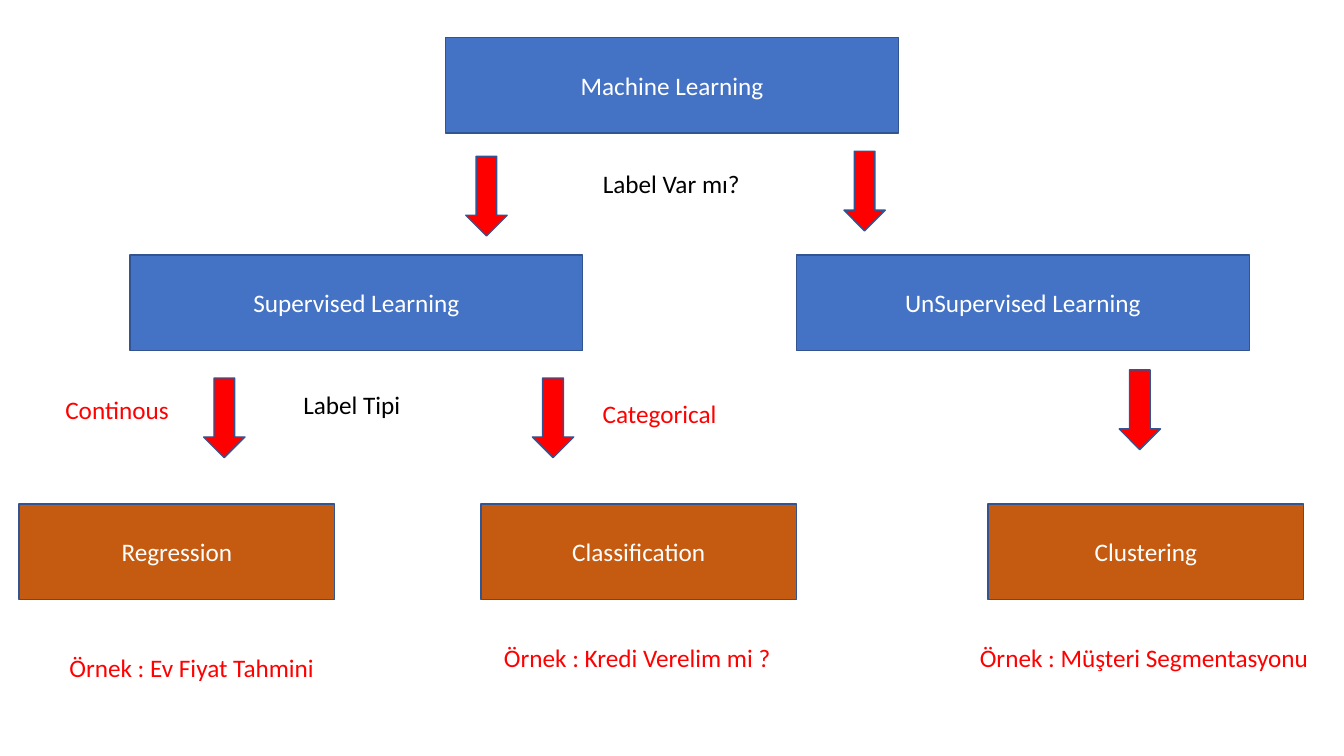
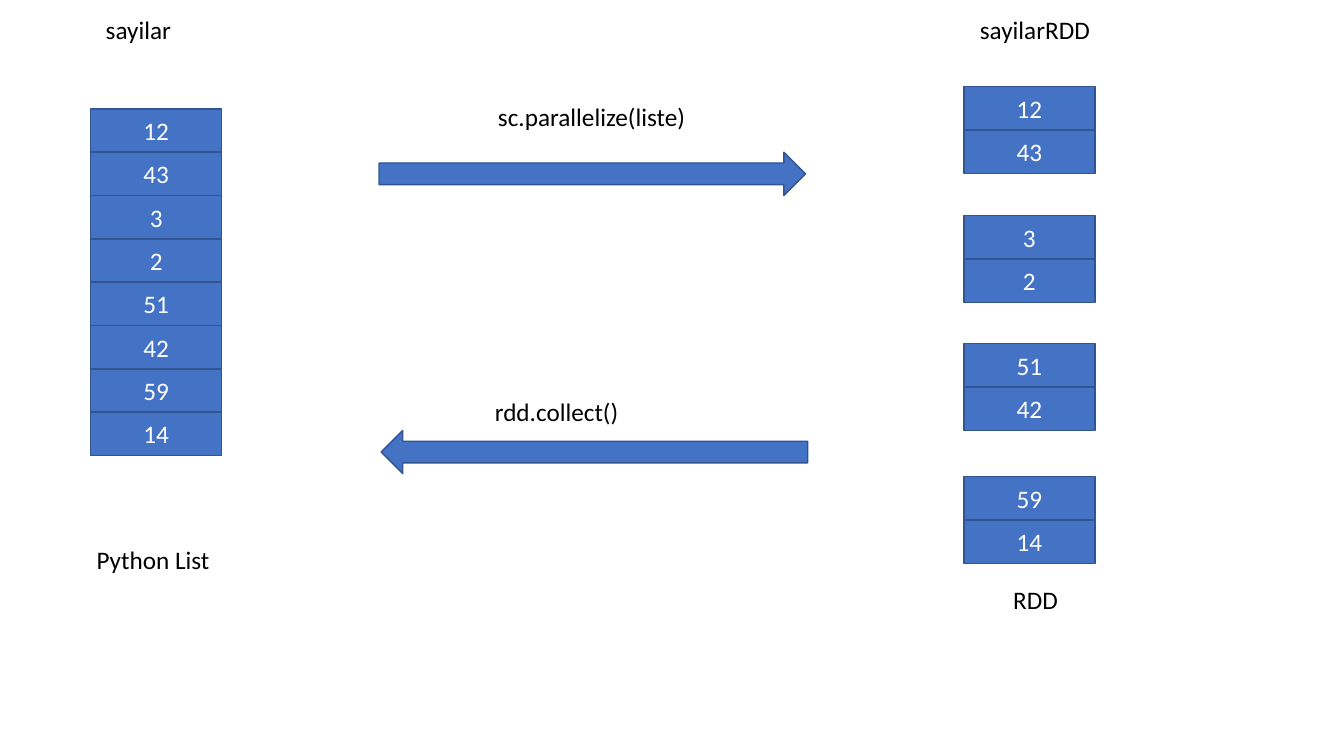
from pptx import Presentation
from pptx.dml.color import RGBColor
from pptx.enum.shapes import MSO_SHAPE
from pptx.enum.text import MSO_ANCHOR, MSO_AUTO_SIZE, PP_ALIGN
from pptx.util import Inches, Pt

BLUE = RGBColor(0x44, 0x72, 0xC4)
OUTLINE = RGBColor(0x32, 0x54, 0x91)
ORANGE = RGBColor(0xC5, 0x5A, 0x11)
RED = RGBColor(0xFF, 0x00, 0x00)
WHITE = RGBColor(0xFF, 0xFF, 0xFF)
BLACK = RGBColor(0x00, 0x00, 0x00)
FONT = "Calibri"
FONT_SIZE = Pt(18)


def add_block(slide, kind, left, top, width, height, fill, text=""):
    """Add an outlined preset shape with centred white text."""
    shape = slide.shapes.add_shape(
        kind, Inches(left), Inches(top), Inches(width), Inches(height))
    shape.shadow.inherit = False
    shape.fill.solid()
    shape.fill.fore_color.rgb = fill
    shape.line.color.rgb = OUTLINE
    shape.line.width = Pt(1)
    if text:
        shape.text_frame.text = text
        shape.text_frame.vertical_anchor = MSO_ANCHOR.MIDDLE
        paragraph = shape.text_frame.paragraphs[0]
        paragraph.alignment = PP_ALIGN.CENTER
        font = paragraph.runs[0].font
        font.name, font.size, font.color.rgb = FONT, FONT_SIZE, WHITE
    return shape


def add_label(slide, left, top, width, text, color=BLACK):
    """Add a one-line text box that fits its text."""
    label = slide.shapes.add_textbox(
        Inches(left), Inches(top), Inches(width), Inches(0.4))
    text_frame = label.text_frame
    text_frame.text = text
    text_frame.word_wrap = False
    text_frame.auto_size = MSO_AUTO_SIZE.SHAPE_TO_FIT_TEXT
    font = text_frame.paragraphs[0].runs[0].font
    font.name, font.size, font.color.rgb = FONT, FONT_SIZE, color


presentation = Presentation()
presentation.slide_width = Inches(13.33)
presentation.slide_height = Inches(7.5)
blank_layout = presentation.slide_layouts[6]

# Slide 1: tree of machine learning methods
slide = presentation.slides.add_slide(blank_layout)

for left, top, text in [
    (4.42, 0.37, "Machine Learning"),
    (1.29, 2.53, "Supervised Learning"),
    (7.9, 2.53, "UnSupervised Learning"),
]:
    add_block(slide, MSO_SHAPE.RECTANGLE, left, top, 4.49, 0.95, BLUE, text)

for left, text in [(0.19, "Regression"), (4.77, "Classification"), (9.8, "Clustering")]:
    add_block(slide, MSO_SHAPE.RECTANGLE, left, 5, 3.13, 0.95, ORANGE, text)

for left, top in [(4.62, 1.55), (8.37, 1.5), (2.02, 3.75), (5.28, 3.75), (11.1, 3.67)]:
    add_block(slide, MSO_SHAPE.DOWN_ARROW, left, top, 0.41, 0.79, RED)

for left, top, width, text, color in [
    (5.88, 1.62, 1.58, "Label Var mı?", BLACK),
    (2.91, 3.81, 1.18, "Label Tipi", BLACK),
    (0.55, 3.86, 1.24, "Continous", RED),
    (5.88, 3.9, 1.34, "Categorical", RED),
    (0.59, 6.42, 2.65, "Örnek : Ev Fiyat Tahmini", RED),
    (4.9, 6.32, 2.88, "Örnek : Kredi Verelim mi ?", RED),
    (9.62, 6.32, 3.5, "Örnek : Müşteri Segmentasyonu", RED),
]:
    add_label(slide, left, top, width, text, color)

# Slide 2: a Python list spread over RDD partitions and collected again
slide = presentation.slides.add_slide(blank_layout)

NUMBERS = [12, 43, 3, 2, 51, 42, 59, 14]
CELL_WIDTH, CELL_HEIGHT = 1.3, 0.43
PARTITION_SIZE = 2
PARTITION_TOPS = [0.86, 2.14, 3.41, 4.73]

for index, number in enumerate(NUMBERS):
    partition, row = divmod(index, PARTITION_SIZE)
    list_top = 1.08 + index * CELL_HEIGHT
    rdd_top = PARTITION_TOPS[partition] + row * CELL_HEIGHT
    for left, top in [(0.9, list_top), (9.56, rdd_top)]:
        add_block(slide, MSO_SHAPE.RECTANGLE, left, top,
                  CELL_WIDTH, CELL_HEIGHT, BLUE, str(number))

for left, top, rotation in [(3.76, 1.51, 0), (3.78, 4.27, 180)]:
    arrow = add_block(slide, MSO_SHAPE.RIGHT_ARROW, left, top, 4.23, 0.43, BLUE)
    arrow.rotation = rotation

for left, top, width, text in [
    (0.95, 0.09, 0.85, "sayilar"),
    (9.62, 0.09, 1.3, "sayilarRDD"),
    (4.84, 0.96, 2.08, "sc.parallelize(liste)"),
    (4.81, 3.88, 1.44, "rdd.collect()"),
    (0.86, 5.35, 1.33, "Python List"),
    (9.95, 5.75, 0.65, "RDD"),
]:
    add_label(slide, left, top, width, text)

presentation.save("out.pptx")
